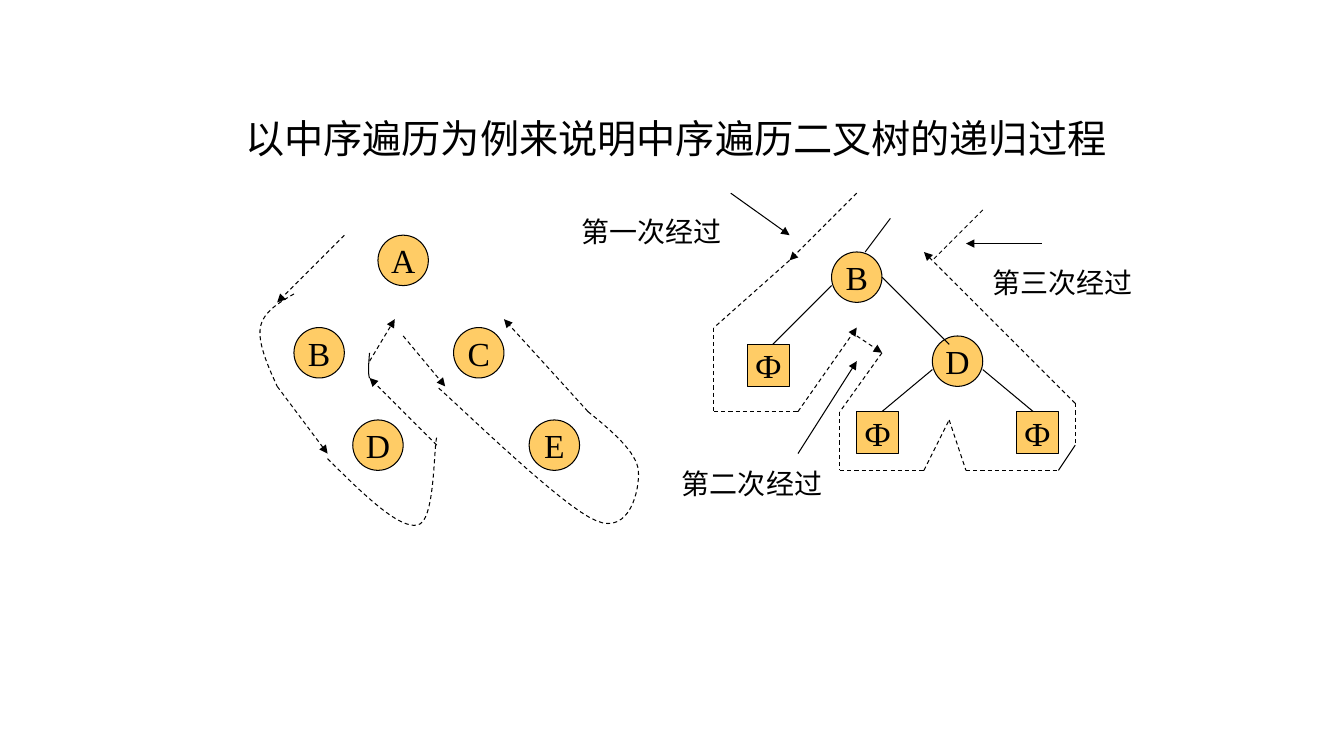
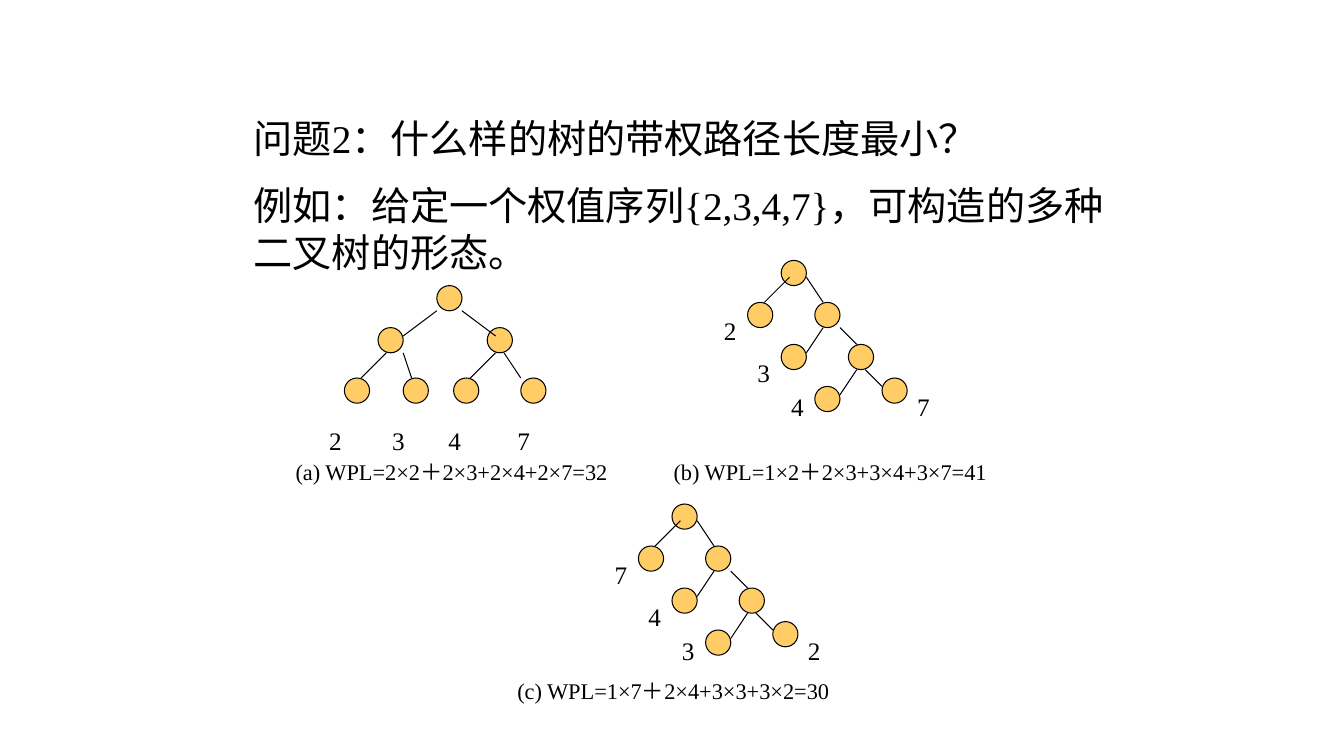
"""Build two slides on recursive in-order traversal and weighted path length."""
from itertools import pairwise

from lxml.etree import SubElement
from pptx import Presentation
from pptx.dml.color import RGBColor
from pptx.enum.dml import MSO_LINE
from pptx.enum.shapes import MSO_CONNECTOR, MSO_SHAPE
from pptx.enum.text import MSO_ANCHOR, MSO_AUTO_SIZE, PP_ALIGN
from pptx.oxml.ns import qn
from pptx.util import Cm, Pt

COLORS = {"ink": "000000", "node": "FFCC66"}
FONT = "Times New Roman"
GRID_CM = 2.54 / 12
CURVE_STEPS = 16

TRAVERSAL_CIRCLES = [
    ("A", 45, 28), ("B", 35, 39), ("D", 42, 50), ("C", 54, 39), ("E", 63, 50),
    ("B", 99, 30), ("D", 111, 40),
]
EMPTY_SUBTREES = [(89, 41), (102, 49), (121, 49)]
BRANCHES = [
    (99, 34, 92, 41), (105, 33, 113, 41), (111, 44, 105, 49),
    (117, 44, 123, 49), (106, 26, 103, 30), (126, 56, 128, 53),
]
ROUTE_ARROWS = [
    (41, 28, 33, 36), (33, 46, 39, 54), (52, 53, 44, 45), (48, 40, 53, 46),
    (70, 49, 60, 38), (44, 43, 47, 38), (102, 23, 94, 31), (95, 49, 102, 39),
    (102, 40, 105, 42), (128, 48, 110, 30),
]
ROUTE_PATHS = [
    [(94, 31), (85, 39), (85, 49), (95, 49)],
    [(105, 42), (100, 49), (100, 56), (110, 56), (113, 50), (115, 56), (126, 56)],
    [(128, 48), (128, 53)],
    [(117, 25), (111, 31)],
]
POINTER_ARROWS = [(95, 54, 102, 43), (87, 23, 94, 28), (124, 29, 115, 29)]
ROUTE_CURVES = [
    [(39, 54.6), (43.2, 58.8), (47.5, 63), (49.7, 62.5),
     (51.8, 62.2), (51.6, 53.6), (52, 52)],
    [(35, 35), (33.1, 36.1), (31.3, 37.2), (31, 39),
     (30.7, 40.8), (31.8, 43.4), (33, 46)],
    [(70, 49), (73, 51.4), (75.8, 53.9), (76, 56), (76.2, 58.2),
     (75, 63.7), (71, 62), (67, 60.4), (55.2, 48.8), (52, 46)],
]
SOLID_CURVE = [(44, 42), (43.9, 43.2), (43.8, 44.5), (44, 45)]
PASS_LABELS = [("第一次经过", 68, 25, 22), ("第二次经过", 80, 55, 21), ("第三次经过", 117, 31, 20)]

BALANCED_NODES = [(0, 0), (-7, 5), (6, 5), (2, 11), (10, 11), (-11, 11), (-4, 11)]
BALANCED_EDGES = [
    (0, 3, -4, 6), (-6, 8, -9, 11), (3, 3, 7, 6),
    (7, 8, 4, 11), (8, 8, 10, 11), (-4, 8, -3, 11),
]
BALANCED_LABELS = [(-14, 16), (-6.5, 16), (0.2, 16), (8.4, 16)]
CHAIN_NODES = [(0, 0), (-4, 5), (4, 5), (8, 10), (12, 14), (0, 10), (4, 15)]
CHAIN_EDGES = [
    (1, 2, -2, 5), (3, 2, 5, 5), (5, 8, 3, 11),
    (7, 8, 9, 10), (9, 13, 7, 16), (10, 13, 12, 15),
]
CHAIN_LABELS = [(-8, 6), (-4, 11), (0, 15), (15, 15)]
BALANCED = (BALANCED_NODES, BALANCED_EDGES, BALANCED_LABELS)
CHAIN = (CHAIN_NODES, CHAIN_EDGES, CHAIN_LABELS)
CAPTIONS = [
    ("(a) WPL=2×2＋2×3+2×4+2×7=32", 34, 54, 46),
    ("(b) WPL=1×2＋2×3+3×4+3×7=41", 79, 54, 46),
    ("(c) WPL=1×7＋2×4+3×3+3×2=30", 60.4, 80, 49),
]


def grid(*values):
    """Turn grid units, twelve to the inch, into lengths."""
    return [Cm(value * GRID_CM) for value in values]


def color(name):
    """Return a named colour."""
    return RGBColor.from_string(COLORS[name])


def style_paragraph(paragraph, size, alignment=PP_ALIGN.LEFT):
    """Apply the shared text style to a paragraph."""
    paragraph.alignment = alignment
    paragraph.space_before = Pt(0)
    paragraph.font.name = FONT
    paragraph.font.size = Pt(size)
    paragraph.font.color.rgb = color("ink")


def style_line(line, dashed=False):
    """Apply the shared outline style."""
    line.color.rgb = color("ink")
    line.width = Pt(0.75)
    if dashed:
        line.dash_style = MSO_LINE.DASH


def fill_placeholder(placeholder, text, box):
    """Move a placeholder and give it plain left-aligned text."""
    placeholder.left, placeholder.top, placeholder.width, placeholder.height = grid(*box)
    frame = placeholder.text_frame
    frame.text = text
    frame.word_wrap = True
    frame.auto_size = MSO_AUTO_SIZE.NONE
    frame.vertical_anchor = MSO_ANCHOR.TOP
    paragraph = frame.paragraphs[0]
    properties = paragraph._p.get_or_add_pPr()
    properties.set("marL", "0")
    properties.set("indent", "0")
    SubElement(properties, qn("a:buNone"))
    style_paragraph(paragraph, 28)


def add_label(slide, text, left, top, width, size):
    """Add a text box with one line of text."""
    frame = slide.shapes.add_textbox(*grid(left, top, width, 5)).text_frame
    frame.word_wrap = True
    frame.text = text
    style_paragraph(frame.paragraphs[0], size)


def add_node(slide, left, top, size, text="", kind=MSO_SHAPE.OVAL):
    """Add a tree node, with its letter if it has one."""
    shape = slide.shapes.add_shape(kind, *grid(left, top, size, size))
    shape.shadow.inherit = False
    shape.fill.solid()
    shape.fill.fore_color.rgb = color("node")
    style_line(shape.line)
    if text:
        frame = shape.text_frame
        frame.word_wrap = False
        frame.vertical_anchor = MSO_ANCHOR.MIDDLE
        frame.text = text
        style_paragraph(frame.paragraphs[0], 24, PP_ALIGN.CENTER)


def add_line(slide, ends, dashed=False, arrow=False):
    """Add a straight line, optionally with an arrowhead at its end."""
    connector = slide.shapes.add_connector(MSO_CONNECTOR.STRAIGHT, *grid(*ends))
    style_line(connector.line, dashed)
    if arrow:
        SubElement(connector.line._get_or_add_ln(), qn("a:tailEnd"), type="triangle")
    SubElement(connector._element.spPr, qn("a:effectLst"))


def bezier_points(controls):
    """Return points along a chain of cubic curves."""
    points = [controls[0]]
    for start in range(0, len(controls) - 1, 3):
        segment = controls[start:start + 4]
        for step in range(1, CURVE_STEPS + 1):
            t = step / CURVE_STEPS
            weights = ((1 - t) ** 3, 3 * t * (1 - t) ** 2, 3 * t * t * (1 - t), t ** 3)
            points.append(tuple(
                sum(weight * value for weight, value in zip(weights, axis))
                for axis in zip(*segment)
            ))
    return points


def add_curve(slide, controls, dashed=True):
    """Add an open smooth curve."""
    first, *others = [grid(*point) for point in bezier_points(controls)]
    builder = slide.shapes.build_freeform(*first)
    builder.add_line_segments(others, close=False)
    shape = builder.convert_to_shape()
    shape.shadow.inherit = False
    shape.fill.background()
    style_line(shape.line, dashed)


def add_weighted_tree(slide, root, layout, weights):
    """Add a tree whose parts are placed relative to its root."""
    x, y = root
    nodes, edges, labels = layout
    for dx, dy in nodes:
        add_node(slide, x + dx, y + dy, 3)
    for x1, y1, x2, y2 in edges:
        add_line(slide, (x + x1, y + y1, x + x2, y + y2))
    for weight, (dx, dy) in zip(weights, labels):
        add_label(slide, weight, x + dx, y + dy, 5, 18)


def build_traversal_slide(presentation):
    """Build the slide that traces the in-order traversal."""
    slide = presentation.slides.add_slide(presentation.slide_layouts[5])
    fill_placeholder(slide.shapes.title, "以中序遍历为例来说明中序遍历二叉树的递归过程", (28, 13, 109, 7))
    for letter, left, top in TRAVERSAL_CIRCLES:
        add_node(slide, left, top, 6, letter)
    for left, top in EMPTY_SUBTREES:
        add_node(slide, left, top, 5, "Ф", MSO_SHAPE.RECTANGLE)
    for ends in BRANCHES:
        add_line(slide, ends)
    for ends in ROUTE_ARROWS:
        add_line(slide, ends, dashed=True, arrow=True)
    for points in ROUTE_PATHS:
        for start, end in pairwise(points):
            add_line(slide, start + end, dashed=True)
    for ends in POINTER_ARROWS:
        add_line(slide, ends, arrow=True)
    for controls in ROUTE_CURVES:
        add_curve(slide, controls)
    add_curve(slide, SOLID_CURVE, dashed=False)
    for label in PASS_LABELS:
        add_label(slide, *label, 20)


def build_path_length_slide(presentation):
    """Build the slide that compares weighted path lengths."""
    slide = presentation.slides.add_slide(presentation.slide_layouts[1])
    fill_placeholder(slide.shapes.title, "问题2：什么样的树的带权路径长度最小？", (29, 13, 106, 7))
    fill_placeholder(
        slide.placeholders[1],
        "例如：给定一个权值序列{2,3,4,7}，可构造的多种二叉树的形态。",
        (29, 21, 107, 12),
    )
    add_weighted_tree(slide, (52, 34), BALANCED, "2347")
    add_weighted_tree(slide, (93, 31), CHAIN, "2347")
    add_weighted_tree(slide, (80, 60), CHAIN, "7432")
    for caption in CAPTIONS:
        add_label(slide, *caption, 16)


def main():
    """Build and save the presentation."""
    presentation = Presentation()
    presentation.slide_width, presentation.slide_height = grid(160, 90)
    build_traversal_slide(presentation)
    build_path_length_slide(presentation)
    presentation.save("out.pptx")


if __name__ == "__main__":
    main()
